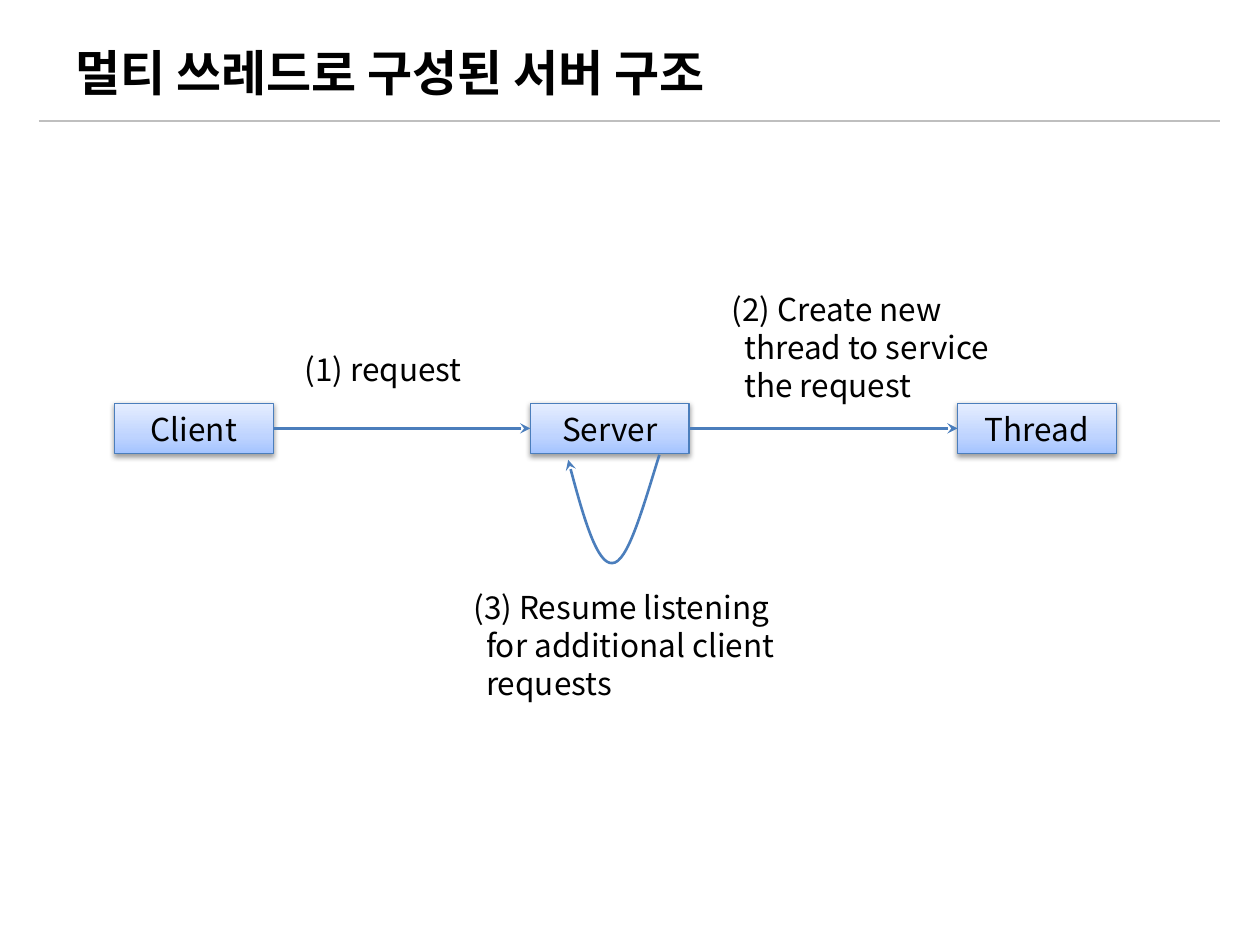
from lxml import etree
from pptx import Presentation
from pptx.dml.color import RGBColor
from pptx.enum.shapes import MSO_CONNECTOR, MSO_SHAPE
from pptx.enum.text import MSO_ANCHOR, PP_ALIGN
from pptx.oxml import parse_xml
from pptx.oxml.ns import nsdecls, qn
from pptx.util import Pt

STRAIGHT = MSO_CONNECTOR.STRAIGHT
RECTANGLE = MSO_SHAPE.RECTANGLE
TOP, MIDDLE = MSO_ANCHOR.TOP, MSO_ANCHOR.MIDDLE
LEFT, CENTER = PP_ALIGN.LEFT, PP_ALIGN.CENTER

THEME = {
    "font": "Noto Sans CJK KR",
    "ink": RGBColor(0x00, 0x00, 0x00),
    "blue": RGBColor(0x4B, 0x7E, 0xBC),
    "rule": RGBColor(0xBF, 0xBF, 0xBF),
    "gradient": [(0, "A4C4FF"), (35, "BFD4FF"), (100, "E6EEFF")],
    "title": 28,
    "body": 18,
}


def write_text(box, text, size=THEME["body"], bold=False, align=LEFT,
               anchor=TOP, spacing=21.7, hanging=0):
    frame = box.text_frame
    frame.word_wrap = True
    frame.vertical_anchor = anchor
    para = frame.paragraphs[0]
    para.alignment = align
    if spacing:
        para.line_spacing = Pt(spacing)
    if hanging:
        properties = para._p.get_or_add_pPr()
        properties.set("marL", str(Pt(hanging)))
        properties.set("indent", str(-Pt(hanging)))
    span = para.add_run()
    span.text = text
    span.font.name = THEME["font"]
    span.font.size = Pt(size)
    span.font.bold = bold
    span.font.color.rgb = THEME["ink"]
    east_asian = etree.SubElement(span._r.rPr, qn("a:ea"))
    east_asian.set("typeface", THEME["font"])


def style_line(shape, color, width, arrow=False):
    shape.line.color.rgb = color
    shape.line.width = Pt(width)
    properties = shape._element.spPr
    if arrow:
        tail = etree.SubElement(properties.find(qn("a:ln")), qn("a:tailEnd"))
        tail.set("type", "stealth")
    etree.SubElement(properties, qn("a:effectLst"))


deck = Presentation()
deck.slide_width, deck.slide_height = Pt(720), Pt(540)
page = deck.slides.add_slide(deck.slide_layouts[6])
shapes = page.shapes

title_rule = shapes.add_connector(STRAIGHT, Pt(22.3), Pt(69.1), Pt(697), Pt(69.1))
style_line(title_rule, THEME["rule"], 0.75)

title = shapes.add_textbox(Pt(36), Pt(21.6), Pt(648), Pt(38.9))
write_text(title, "멀티 쓰레드로 구성된 서버 구조", size=THEME["title"],
           bold=True, anchor=MIDDLE, spacing=None)

stops = "".join(
    f'<a:gs pos="{position * 1000}"><a:srgbClr val="{color}"/></a:gs>'
    for position, color in THEME["gradient"]
)
gradient_xml = (
    f'<a:gradFill {nsdecls("a")} rotWithShape="1"><a:gsLst>{stops}</a:gsLst>'
    '<a:lin ang="16200000" scaled="0"/></a:gradFill>'
)
shadow_xml = (
    f'<a:outerShdw {nsdecls("a")} blurRad="{Pt(3.1)}" dist="{Pt(1.6)}" '
    'dir="5400000" rotWithShape="0"><a:srgbClr val="000000">'
    '<a:alpha val="38000"/></a:srgbClr></a:outerShdw>'
)

nodes = []
for name, left in [("Client", 65.5), ("Server", 303.1), ("Thread", 547.2)]:
    node = shapes.add_shape(RECTANGLE, Pt(left), Pt(230.4), Pt(90.7), Pt(28.8))
    properties = node._element.spPr
    properties.find(qn("a:prstGeom")).addnext(parse_xml(gradient_xml))
    style_line(node, THEME["blue"], 0.75)
    properties.find(qn("a:effectLst")).append(parse_xml(shadow_xml))
    write_text(node, name, align=CENTER)
    nodes.append(node)

for source, target in zip(nodes, nodes[1:]):
    arrow = shapes.add_connector(STRAIGHT, 0, 0, 0, 0)
    arrow.begin_connect(source, 3)
    arrow.end_connect(target, 1)
    style_line(arrow, THEME["blue"], 1.75, arrow=True)

loop_points = [
    (376.8, 259.9), (367.2, 290.9), (358.6, 321.8), (349.9, 321.8),
    (341.3, 322.6), (332.6, 293), (324.7, 262.8),
]
start, *controls = [(Pt(x), Pt(y)) for x, y in loop_points]
builder = shapes.build_freeform(*start)
builder.add_line_segments(controls, close=False)
loop = builder.convert_to_shape()
loop.fill.background()
style_line(loop, THEME["blue"], 1.5, arrow=True)

outline = next(loop._element.iter(qn("a:path")))
segments = outline.findall(qn("a:lnTo"))
for first in range(0, len(segments), 3):
    curve = etree.SubElement(outline, qn("a:cubicBezTo"))
    for segment in segments[first:first + 3]:
        curve.append(segment[0])
        outline.remove(segment)

captions = [
    ("(1) request", 167, 196.6, 108, 28.8, 0),
    ("(2) Create new thread to service the request", 411.1, 162, 169.9, 72.7, 7.2),
    ("(3) Resume listening for additional client requests", 263.5, 332.6, 198.7, 72.7, 7.2),
]
for text, left, top, width, height, hanging in captions:
    caption = shapes.add_textbox(Pt(left), Pt(top), Pt(width), Pt(height))
    write_text(caption, text, hanging=hanging)

deck.save("out.pptx")
